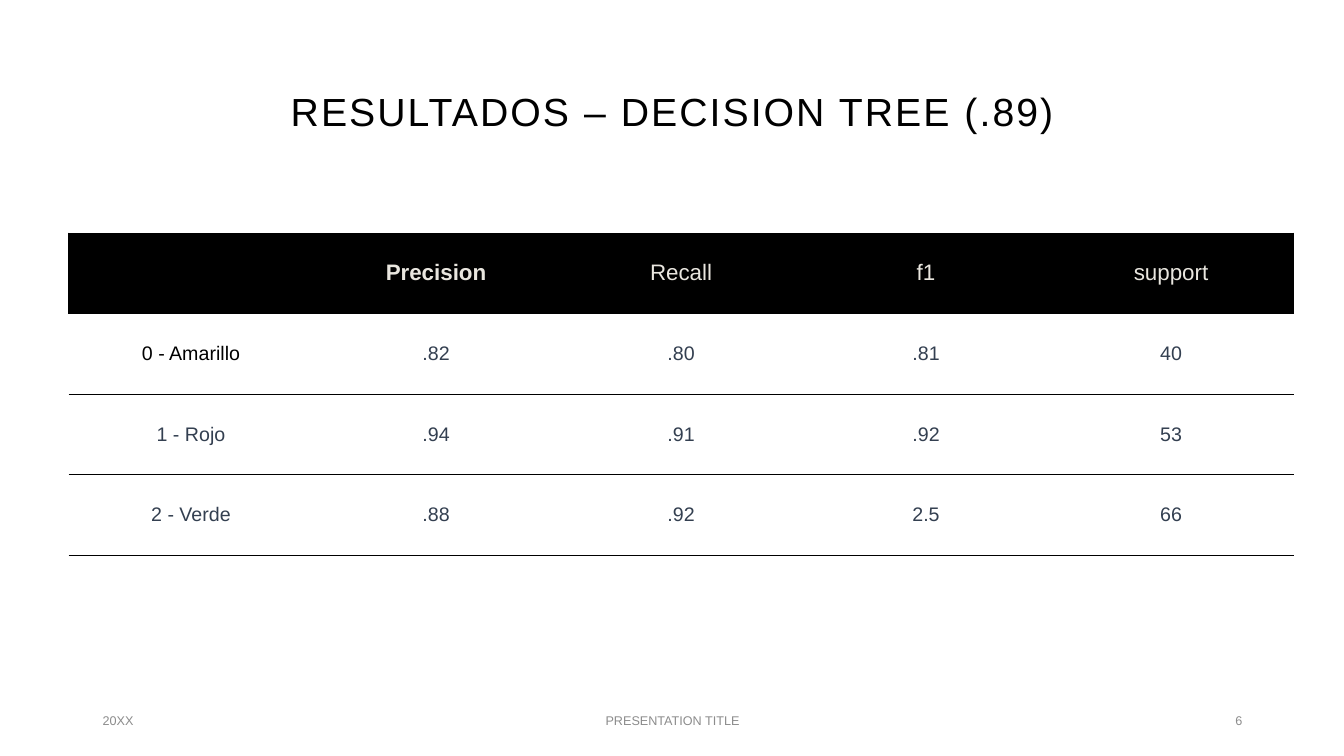
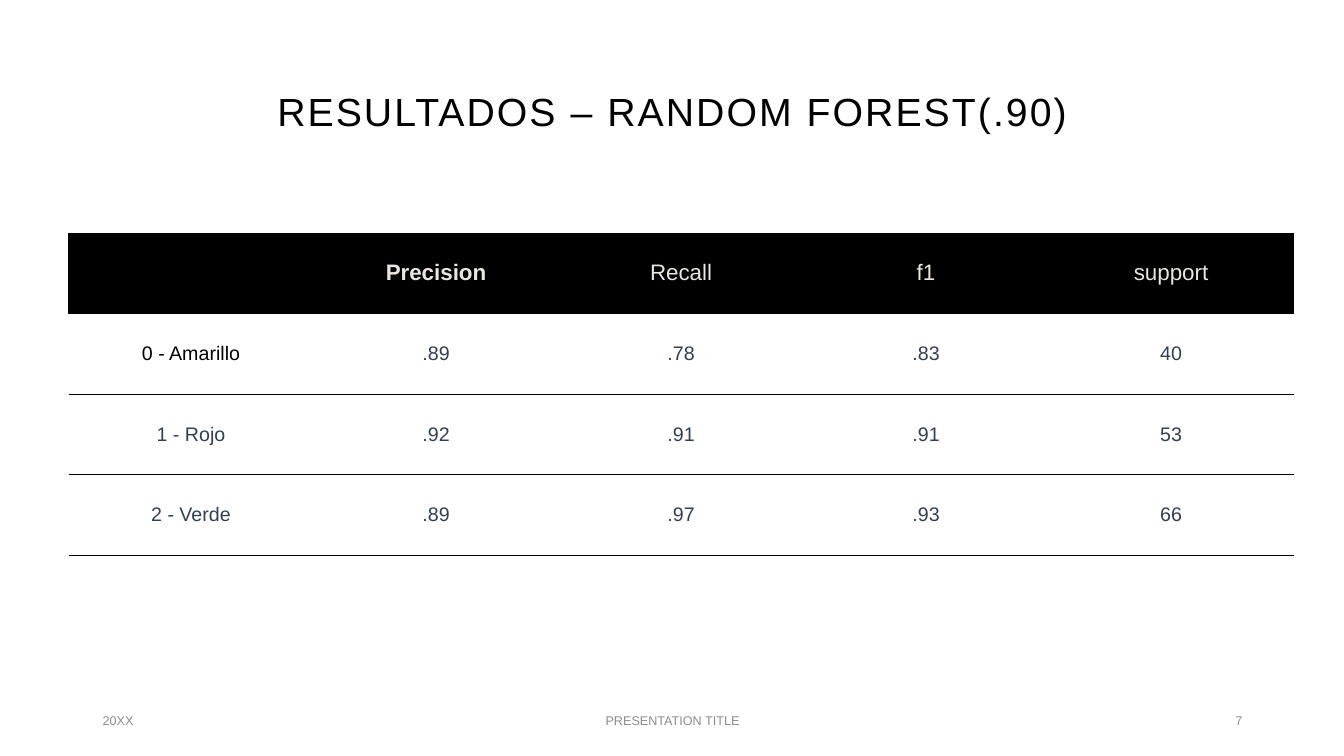
from lxml import etree
from pptx import Presentation
from pptx import util as u
from pptx.dml.color import RGBColor
from pptx.enum import text
from pptx.oxml.ns import qn

PX = 9144  # 100 px to the inch
FONT = "Arial"
BLACK, CREAM, SLATE, GRAY = "000000", "E9E6DF", "333F50", "8C8C8C"
LEFT, CENTER, RIGHT = text.PP_ALIGN.LEFT, text.PP_ALIGN.CENTER, text.PP_ALIGN.RIGHT

FIRST_NUMBER = 6
HEADER = ["", "Precision", "Recall", "f1", "support"]
RESULTS = [
    ("RESULTADOS – DECISION TREE (.89)", [
        ["0 - Amarillo", ".82", ".80", ".81", "40"],
        ["1 - Rojo", ".94", ".91", ".92", "53"],
        ["2 - Verde", ".88", ".92", "2.5", "66"],
    ]),
    ("RESULTADOS – RANDOM FOREST(.90)", [
        ["0 - Amarillo", ".89", ".78", ".83", "40"],
        ["1 - Rojo", ".92", ".91", ".91", "53"],
        ["2 - Verde", ".89", ".97", ".93", "66"],
    ]),
]

TITLE_BOX = (92, 40, 1150, 145)
TABLE_LEFT, TABLE_TOP = 68, 231
COLUMN_WIDTH, ROW_HEIGHT = 243, 80
FOOTER_TOP, FOOTER_HEIGHT = 695, 40


def px(*lengths):
    return [u.Emu(length * PX) for length in lengths]


def rgb(color):
    return RGBColor.from_string(color)


def write(frame, words, size, color, align=CENTER, bold=False, spacing=None,
          line_spacing=None):
    """Put one formatted paragraph, vertically centred, into a text frame."""
    frame.word_wrap = True
    frame.vertical_anchor = text.MSO_ANCHOR.MIDDLE
    paragraph = frame.paragraphs[0]
    paragraph.alignment = align
    if line_spacing:
        paragraph.line_spacing = line_spacing
    run = paragraph.add_run()
    run.text = words
    run.font.name, run.font.size, run.font.bold = FONT, u.Pt(size), bold
    run.font.color.rgb = rgb(color)
    if spacing:
        run.font._element.set("spc", str(int(spacing * 100)))


def set_borders(cell, black_sides):
    """Draw the given sides (letters of LRTB) in black and hide the others."""
    properties = cell._tc.get_or_add_tcPr()
    for side in "LRTB":
        line = etree.SubElement(properties, qn("a:ln" + side), w=str(u.Pt(0.5)))
        if side in black_sides:
            fill = etree.SubElement(line, qn("a:solidFill"))
            etree.SubElement(fill, qn("a:srgbClr"), val=BLACK)
        else:
            etree.SubElement(line, qn("a:noFill"))


def add_title(slide, words):
    title = slide.shapes.title
    title.left, title.top, title.width, title.height = px(*TITLE_BOX)
    title.text_frame.auto_size = text.MSO_AUTO_SIZE.NONE
    write(title.text_frame, words, 28, BLACK, spacing=1.5, line_spacing=0.9)


def add_scores(slide, body):
    rows = [HEADER] + body
    box = px(TABLE_LEFT, TABLE_TOP, COLUMN_WIDTH * len(HEADER), ROW_HEIGHT * len(rows))
    table = slide.shapes.add_table(len(rows), len(HEADER), *box).table
    table.horz_banding = False
    for column in table.columns:
        column.width = u.Emu(COLUMN_WIDTH * PX)
    for row_index, row in enumerate(rows):
        is_header = row_index == 0
        table.rows[row_index].height = u.Emu(ROW_HEIGHT * PX)
        for column_index, words in enumerate(row):
            cell = table.cell(row_index, column_index)
            sides = "TB"
            if is_header and column_index == 0:
                sides += "L"
            if is_header and column_index == len(HEADER) - 1:
                sides += "R"
            set_borders(cell, sides)
            cell.vertical_anchor = text.MSO_ANCHOR.MIDDLE
            if is_header:
                cell.fill.solid()
                cell.fill.fore_color.rgb = rgb(BLACK)
            else:
                cell.fill.background()
            if not words:
                continue
            if is_header:
                write(cell.text_frame, words, 16, CREAM, bold=words == "Precision")
            else:
                first_label = (row_index, column_index) == (1, 0)
                write(cell.text_frame, words, 14, BLACK if first_label else SLATE)


def add_footer(slide, number):
    for left, width, words, align in [
        (92, 300, "20XX", LEFT),
        (442, 450, "PRESENTATION TITLE", CENTER),
        (942, 300, str(number), RIGHT),
    ]:
        box = slide.shapes.add_textbox(*px(left, FOOTER_TOP, width, FOOTER_HEIGHT))
        write(box.text_frame, words, 9, GRAY, align)


def main():
    presentation = Presentation()
    presentation.slide_width, presentation.slide_height = px(1333, 750)
    title_only = presentation.slide_layouts[5]
    for number, (title, body) in enumerate(RESULTS, FIRST_NUMBER):
        slide = presentation.slides.add_slide(title_only)
        add_title(slide, title)
        add_scores(slide, body)
        add_footer(slide, number)
    presentation.save("out.pptx")


if __name__ == "__main__":
    main()
